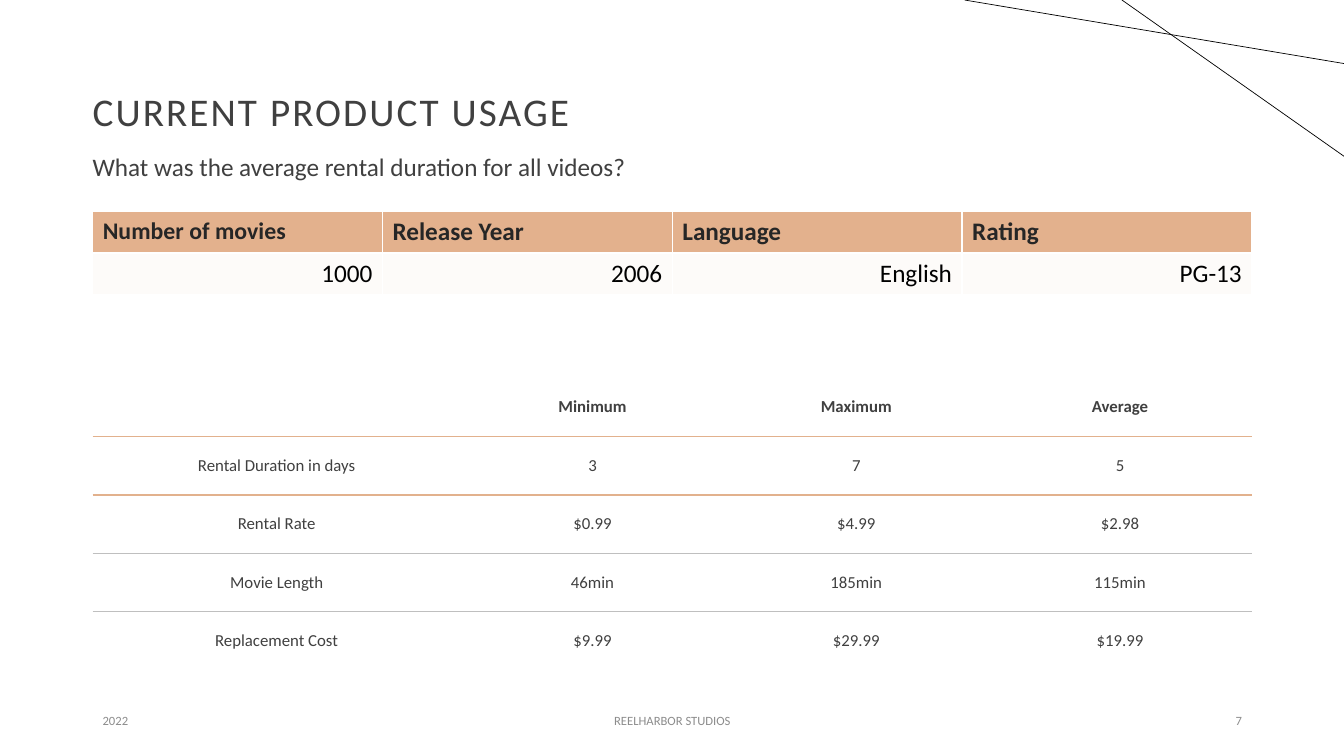
from dataclasses import dataclass

import pptx
import pptx.dml.color
import pptx.enum.text
import pptx.oxml
import pptx.oxml.ns
import pptx.slide
import pptx.table
import pptx.util

Pt = pptx.util.Pt
RGBColor = pptx.dml.color.RGBColor
Align = pptx.enum.text.PP_ALIGN
Anchor = pptx.enum.text.MSO_ANCHOR

DARK = RGBColor(0x40, 0x40, 0x40)
INK = RGBColor(0x26, 0x26, 0x26)
BLACK = RGBColor(0, 0, 0)
GREY = RGBColor(0x8C, 0x8C, 0x8C)
RULE = RGBColor(0xBF, 0xBF, 0xBF)
PEACH = RGBColor(0xE3, 0xB1, 0x8D)
ORANGE = RGBColor(0xE2, 0xB1, 0x8D)
CREAM = RGBColor(0xFD, 0xFB, 0xF9)

LEFT, WIDTH = 66.24, 828


@dataclass
class Style:
    size: float
    color: RGBColor
    align: Align = Align.LEFT
    bold: bool = False
    track: int = 0  # letter spacing in hundredths of a point


@dataclass
class Label:
    text: str
    left: float
    top: float
    width: float
    height: float
    style: Style
    inset: float = 7.2
    anchor: Anchor = Anchor.MIDDLE
    lead: float = 1.0


@dataclass
class Line:
    x: float
    y: float
    endx: float
    endy: float


FOOT, ROW = 500.4, 28.8
LABELS = [
    Label("CURRENT PRODUCT USAGE", LEFT, 28.8, WIDTH, 104.4,
          Style(28, DARK, track=150), inset=0, lead=0.9),
    Label("What was the average rental duration for all videos?", 59.04, 107.28,
          532.8, 38.88, Style(18, DARK), anchor=Anchor.TOP, lead=0.9),
    Label("2022", LEFT, FOOT, 216, ROW, Style(9, GREY)),
    Label("REELHARBOR STUDIOS", 318.24, FOOT, 324, ROW,
          Style(9, GREY, Align.CENTER)),
    Label("7", 678.24, FOOT, 216, ROW, Style(9, GREY, Align.RIGHT)),
]
LINES = [Line(801.4, 0, 960, 111.6), Line(689, 0, 960, 45.4)]

MOVIES = [
    ["Number of movies", "Release Year", "Language", "Rating"],
    ["1000", "2006", "English", "PG-13"],
]
USAGE = [
    ["", "Minimum", "Maximum", "Average"],
    ["Rental Duration in days", "3", "7", "5"],
    ["Rental Rate", "$0.99", "$4.99", "$2.98"],
    ["Movie Length", "46min", "185min", "115min"],
    ["Replacement Cost", "$9.99", "$29.99", "$19.99"],
]
EDGES = [None, ORANGE, ORANGE, RULE, RULE, None]  # rules above and below each row


def write(frame: pptx.slide.Slide, text: str, style: Style) -> None:
    """Put one styled run into the first paragraph of a text frame."""
    para = frame.paragraphs[0]
    para.alignment = style.align
    if not text:
        return
    run = para.add_run()
    run.text = text
    font = run.font
    font.name, font.size, font.bold = "Calibri", Pt(style.size), style.bold
    font.color.rgb = style.color
    if style.track:
        run._r.get_or_add_rPr().set("spc", str(style.track))


def label(slide: pptx.slide.Slide, item: Label) -> None:
    box = slide.shapes.add_textbox(
        Pt(item.left), Pt(item.top), Pt(item.width), Pt(item.height))
    frame = box.text_frame
    frame.word_wrap = True
    frame.margin_left = Pt(item.inset)
    frame.vertical_anchor = item.anchor
    write(frame, item.text, item.style)
    frame.paragraphs[0].line_spacing = item.lead


def stroke(slide: pptx.slide.Slide, item: Line) -> None:
    line = slide.shapes.add_connector(
        pptx.enum.shapes.MSO_CONNECTOR.STRAIGHT,
        Pt(item.x), Pt(item.y), Pt(item.endx), Pt(item.endy))
    line.line.color.rgb = BLACK
    line.line.width = Pt(0.5)
    line._element.spPr.append(pptx.oxml.parse_xml(
        f'<a:effectLst {pptx.oxml.ns.nsdecls("a")}/>'))


def grid(slide: pptx.slide.Slide, data: list[list[str]], top: float,
         cols: list[float], height: float) -> pptx.table.Table:
    """Add an empty table at the left margin with equal rows."""
    table = slide.shapes.add_table(
        len(data), len(cols), Pt(LEFT), Pt(top), Pt(sum(cols)),
        Pt(height * len(data))).table
    for col, width in zip(table.columns, cols):
        col.width = Pt(width)
    for row in table.rows:
        row.height = Pt(height)
    return table


def border(cell: pptx.table._Cell, side: str, color: RGBColor | None) -> None:
    paint = (f'<a:solidFill><a:srgbClr val="{color}"/></a:solidFill>'
             if color else "<a:noFill/>")
    cell._tc.get_or_add_tcPr().append(pptx.oxml.parse_xml(
        f'<a:ln{side} {pptx.oxml.ns.nsdecls("a")} w="{Pt(1)}">{paint}</a:ln{side}>'))


def movies(slide: pptx.slide.Slide) -> None:
    table = grid(slide, MOVIES, 151.2, [WIDTH / 4] * 4, 29.52)
    for r, row in enumerate(MOVIES):
        for c, text in enumerate(row):
            cell = table.cell(r, c)
            cell.fill.solid()
            cell.fill.fore_color.rgb = CREAM if r else PEACH
            style = (Style(18, BLACK, Align.RIGHT) if r
                     else Style(18 if c else 17, INK, bold=True))
            write(cell.text_frame, text, style)


def usage(slide: pptx.slide.Slide) -> None:
    table = grid(slide, USAGE, 270, [262.8] + [188.4] * 3, 41.76)
    table.first_row = table.horz_banding = False
    for r, row in enumerate(USAGE):
        for c, text in enumerate(row):
            cell = table.cell(r, c)
            cell.vertical_anchor = Anchor.MIDDLE
            sides = {"L": None, "R": None, "T": EDGES[r], "B": EDGES[r + 1]}
            for side, color in sides.items():
                border(cell, side, color)
            cell.fill.background()
            write(cell.text_frame, text,
                  Style(12, DARK, Align.CENTER, bold=r == 0))


def main() -> None:
    deck = pptx.Presentation()
    deck.slide_width, deck.slide_height = Pt(960), Pt(540)
    slide = deck.slides.add_slide(deck.slide_layouts[6])
    for item in LABELS:
        label(slide, item)
    for item in LINES:
        stroke(slide, item)
    usage(slide)
    movies(slide)
    deck.save("out.pptx")


if __name__ == "__main__":
    main()
